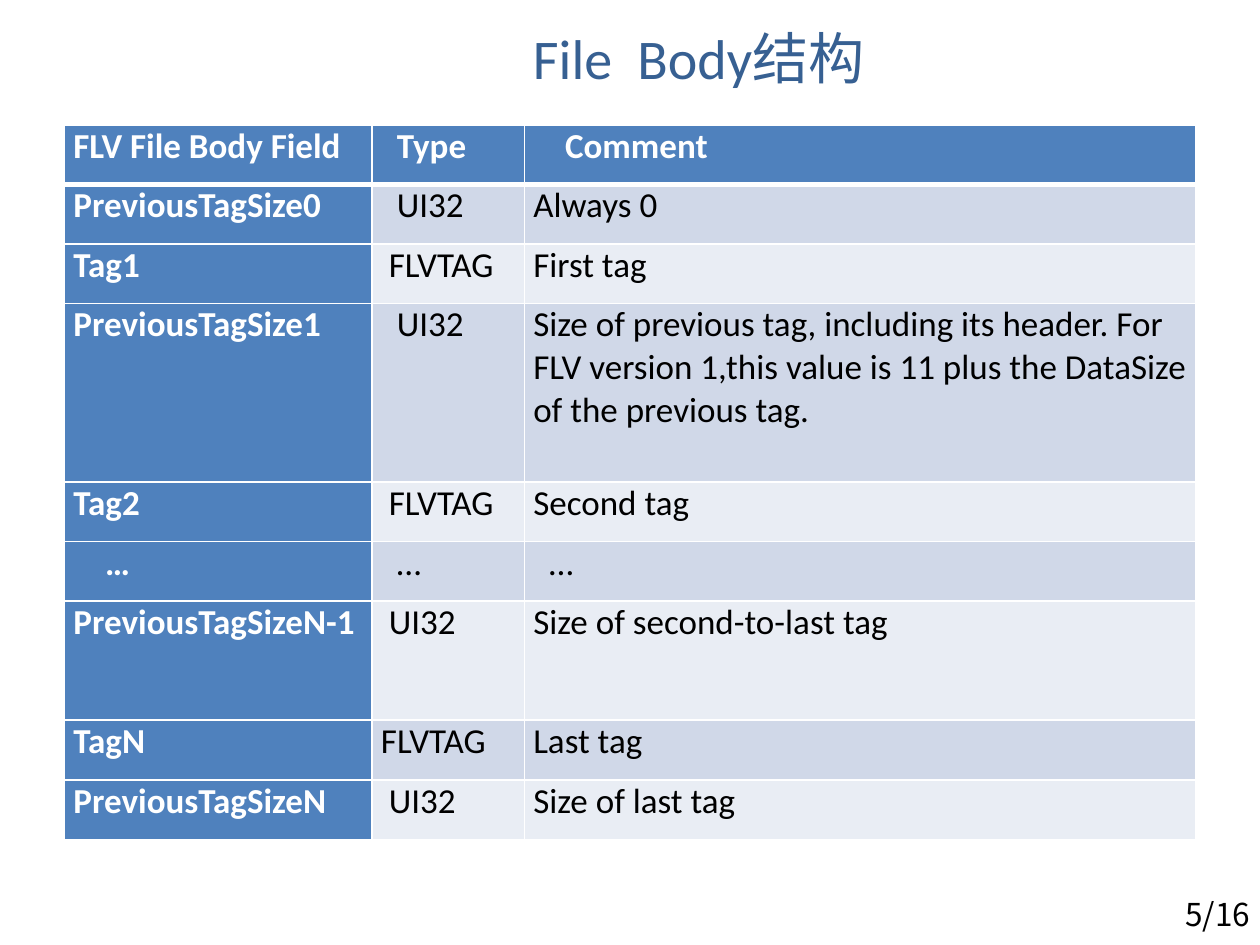
"""Build the slide that lists the fields of an FLV file body."""
from lxml import etree
from pptx import Presentation
from pptx.dml.color import RGBColor
from pptx.enum.text import MSO_ANCHOR, PP_ALIGN
from pptx.oxml.ns import qn
from pptx.util import Cm, Pt

LEFT, RIGHT = PP_ALIGN.LEFT, PP_ALIGN.RIGHT
TOP = MSO_ANCHOR.TOP
BODY_FONT, PAGE_FONT = "Calibri", "Noto Sans CJK SC"
WHITE, BLACK, HEADER_BLUE, TITLE_BLUE = "FFFFFF", "000000", "4F81BD", "376092"
BANDS = ["E9EDF4", "D0D8E8"]
INSET, STEP = 0.18, 0.16
COLUMN_WIDTHS = [6.2, 3.07, 13.54]
LINE_HEIGHT = 1.2

# Each row: height in lines, then text and indent steps of every cell.
FIELDS = [
    (1, ("FLV File Body Field", 0), ("Type", 2), ("Comment", 4)),
    (1, ("PreviousTagSize0", 0), ("UI32", 2), ("Always 0", 0)),
    (1, ("Tag1", 0), ("FLVTAG", 1), ("First tag", 0)),
    (3, ("PreviousTagSize1", 0), ("UI32", 2),
     ("Size of previous tag, including its header. For FLV version 1,this value is 11 "
      "plus the DataSize of the previous tag.", 0)),
    (1, ("Tag2", 0), ("FLVTAG", 1), ("Second tag", 0)),
    (1, ("…", 4), ("…", 2), ("…", 2)),
    (2, ("PreviousTagSizeN-1", 0), ("UI32", 1), ("Size of second-to-last tag", 0)),
    (1, ("TagN", 0), ("FLVTAG", 0), ("Last tag", 0)),
    (1, ("PreviousTagSizeN", 0), ("UI32", 1), ("Size of last tag", 0)),
]


def format_text(frame, size, color, font=BODY_FONT, bold=False, align=LEFT):
    paragraph = frame.paragraphs[0]
    paragraph.alignment = align
    for run in paragraph.runs:
        run.font.size = Pt(size)
        run.font.name = font
        run.font.bold = bold
        run.font.color.rgb = RGBColor.from_string(color)


def add_borders(cell, bottom_width):
    properties = cell._tc.get_or_add_tcPr()
    widths = {"a:lnL": 1, "a:lnR": 1, "a:lnT": 1, "a:lnB": bottom_width}
    for position, (tag, width) in enumerate(widths.items()):
        line = etree.Element(qn(tag), w=str(Pt(width)))
        fill = etree.SubElement(line, qn("a:solidFill"))
        etree.SubElement(fill, qn("a:srgbClr"), val=WHITE)
        properties.insert(position, line)


prs = Presentation()
prs.slide_width, prs.slide_height = Cm(25.4), Cm(19.05)
slide = prs.slides.add_slide(prs.slide_layouts[5])

title = slide.shapes.title
title.left, title.top, title.width, title.height = Cm(10.49), Cm(0.33), Cm(8.66), Cm(1.63)
title.text_frame.text = "File  Body结构"
title.text_frame.word_wrap = False
format_text(title.text_frame, 32, TITLE_BLUE)

page = slide.shapes.add_textbox(Cm(19.53), Cm(17.91), Cm(5.92), Cm(1.02)).text_frame
page.word_wrap = True
page.text = "5/16"
format_text(page, 18, BLACK, font=PAGE_FONT, align=RIGHT)

table_height = LINE_HEIGHT * sum(field[0] for field in FIELDS)
body_table = slide.shapes.add_table(
    len(FIELDS), len(COLUMN_WIDTHS), Cm(1.3), Cm(2.52),
    Cm(sum(COLUMN_WIDTHS)), Cm(table_height)).table
body_table.first_col = True
for column, width in zip(body_table.columns, COLUMN_WIDTHS):
    column.width = Cm(width)

for row, (lines, *entries) in enumerate(FIELDS):
    body_table.rows[row].height = Cm(lines * LINE_HEIGHT)
    for col, (text, indent) in enumerate(entries):
        is_heading = row == 0 or col == 0
        cell = body_table.cell(row, col)
        cell.text_frame.text = text
        cell.vertical_anchor = TOP
        cell.margin_left, cell.margin_right = Cm(INSET + indent * STEP), Cm(INSET)
        cell.margin_top = cell.margin_bottom = 0
        cell.fill.solid()
        cell.fill.fore_color.rgb = RGBColor.from_string(
            HEADER_BLUE if is_heading else BANDS[row % 2])
        format_text(cell.text_frame, 20, WHITE if is_heading else BLACK, bold=is_heading)
        add_borders(cell, 3 if row == 0 else 1)

prs.save("out.pptx")
